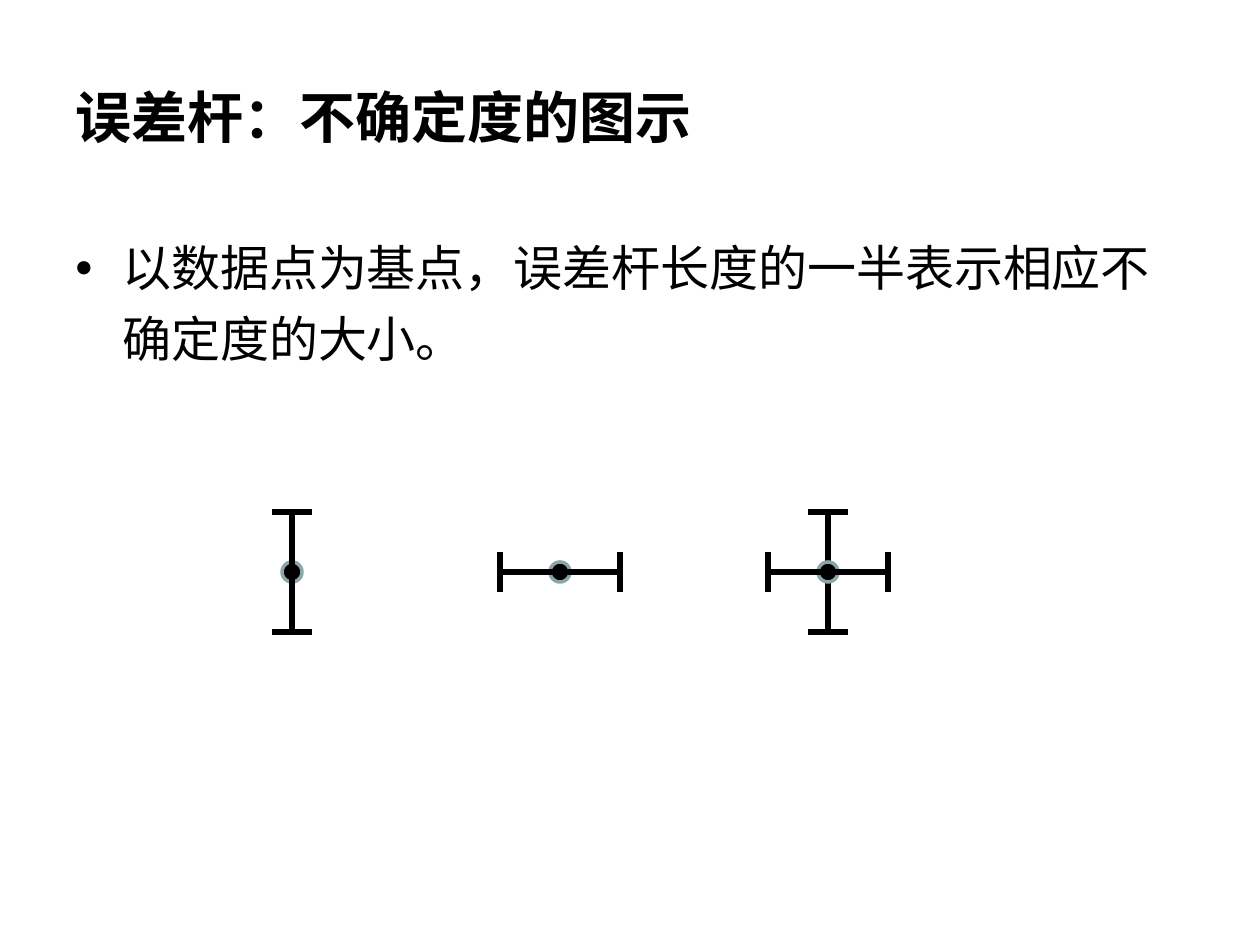
"""Build the slide that shows how error bars picture uncertainty."""
from dataclasses import dataclass

from lxml import etree
from pptx import Presentation
from pptx.dml.color import RGBColor
from pptx.enum.shapes import MSO_CONNECTOR, MSO_SHAPE
from pptx.enum.text import MSO_ANCHOR
from pptx.oxml.ns import qn
from pptx.shapes.shapetree import GroupShapes, SlideShapes
from pptx.util import Emu, Pt

STRAIGHT = MSO_CONNECTOR.STRAIGHT
OVAL = MSO_SHAPE.OVAL
TOP, MIDDLE = MSO_ANCHOR.TOP, MSO_ANCHOR.MIDDLE

BLACK = RGBColor(0x00, 0x00, 0x00)
RING = RGBColor(0x8A, 0xA6, 0xA8)

EMU_PER_PX = 914400 / 126
BLANK_LAYOUT = 6
FIRST_X, PITCH, CENTRE_Y = 292, 268, 572
HALF_BAR, HALF_CAP, RADIUS = 60, 20, 10


@dataclass(frozen=True)
class ErrorBar:
    x: int
    y: int
    layers: tuple[str, ...]


def px(length: int) -> Emu:
    return Emu(round(length * EMU_PER_PX))


def add_text(shapes: SlideShapes, text: str, *, at: tuple[int, int, int, int],
             font: str, size: int, bold: bool = False, anchor: MSO_ANCHOR = TOP,
             line_spacing: float = 1.0, space_before: float = 0,
             bullet: str = "", indent: int = 0) -> None:
    box = shapes.add_textbox(*map(px, at))
    frame = box.text_frame
    frame.word_wrap = True
    frame.vertical_anchor = anchor
    para = frame.paragraphs[0]
    para.line_spacing = line_spacing
    para.space_before = Pt(space_before)
    span = para.add_run()
    span.text = text
    span.font.name = font
    span.font.size = Pt(size)
    span.font.bold = bold
    span.font.color.rgb = BLACK
    if bullet:
        properties = para._p.get_or_add_pPr()
        properties.set("marL", str(px(indent)))
        properties.set("indent", str(-px(indent)))
        etree.SubElement(properties, qn("a:buFont")).set("typeface", font)
        etree.SubElement(properties, qn("a:buChar")).set("char", bullet)


def add_line(shapes: GroupShapes, x1: int, y1: int, x2: int, y2: int) -> None:
    line = shapes.add_connector(STRAIGHT, px(x1), px(y1), px(x2), px(y2))
    line.line.color.rgb = BLACK
    line.line.width = Pt(3)
    etree.SubElement(line._element.spPr, qn("a:effectLst"))


def add_dot(shapes: GroupShapes, x: int, y: int) -> None:
    dot = shapes.add_shape(OVAL, px(x - RADIUS), px(y - RADIUS),
                           px(2 * RADIUS), px(2 * RADIUS))
    dot.shadow.inherit = False
    dot.fill.solid()
    dot.fill.fore_color.rgb = BLACK
    dot.line.color.rgb = RING
    dot.line.width = Pt(2)


def add_vertical(shapes: GroupShapes, x: int, y: int) -> None:
    add_line(shapes, x, y - HALF_BAR, x, y + HALF_BAR)
    for end in (y - HALF_BAR, y + HALF_BAR):
        add_line(shapes, x - HALF_CAP, end, x + HALF_CAP, end)


def add_horizontal(shapes: GroupShapes, x: int, y: int) -> None:
    add_line(shapes, x - HALF_BAR, y, x + HALF_BAR, y)
    for end in (x - HALF_BAR, x + HALF_BAR):
        add_line(shapes, end, y - HALF_CAP, end, y + HALF_CAP)


DRAW = {"dot": add_dot, "vertical": add_vertical, "horizontal": add_horizontal}


def add_error_bar(shapes: SlideShapes, bar: ErrorBar) -> None:
    group = shapes.add_group_shape()
    for layer in bar.layers:
        DRAW[layer](group.shapes, bar.x, bar.y)


def main() -> None:
    deck = Presentation()
    deck.slide_width, deck.slide_height = px(1260), px(945)
    page = deck.slides.add_slide(deck.slide_layouts[BLANK_LAYOUT])

    add_text(page.shapes, "误差杆：不确定度的图示", at=(63, 38, 1134, 157),
             font="Times New Roman", size=32, bold=True, anchor=MIDDLE)
    add_text(page.shapes, "以数据点为基点，误差杆长度的一半表示相应不确定度的大小。",
             at=(63, 220, 1134, 213), font="Arial", size=28,
             line_spacing=1.2, space_before=5.6, bullet="•", indent=47)

    stacks = (("dot", "vertical"), ("dot", "horizontal"),
              ("vertical", "dot", "horizontal"))
    for index, layers in enumerate(stacks):
        add_error_bar(page.shapes,
                      ErrorBar(FIRST_X + index * PITCH, CENTRE_Y, layers))

    deck.save("out.pptx")


if __name__ == "__main__":
    main()
